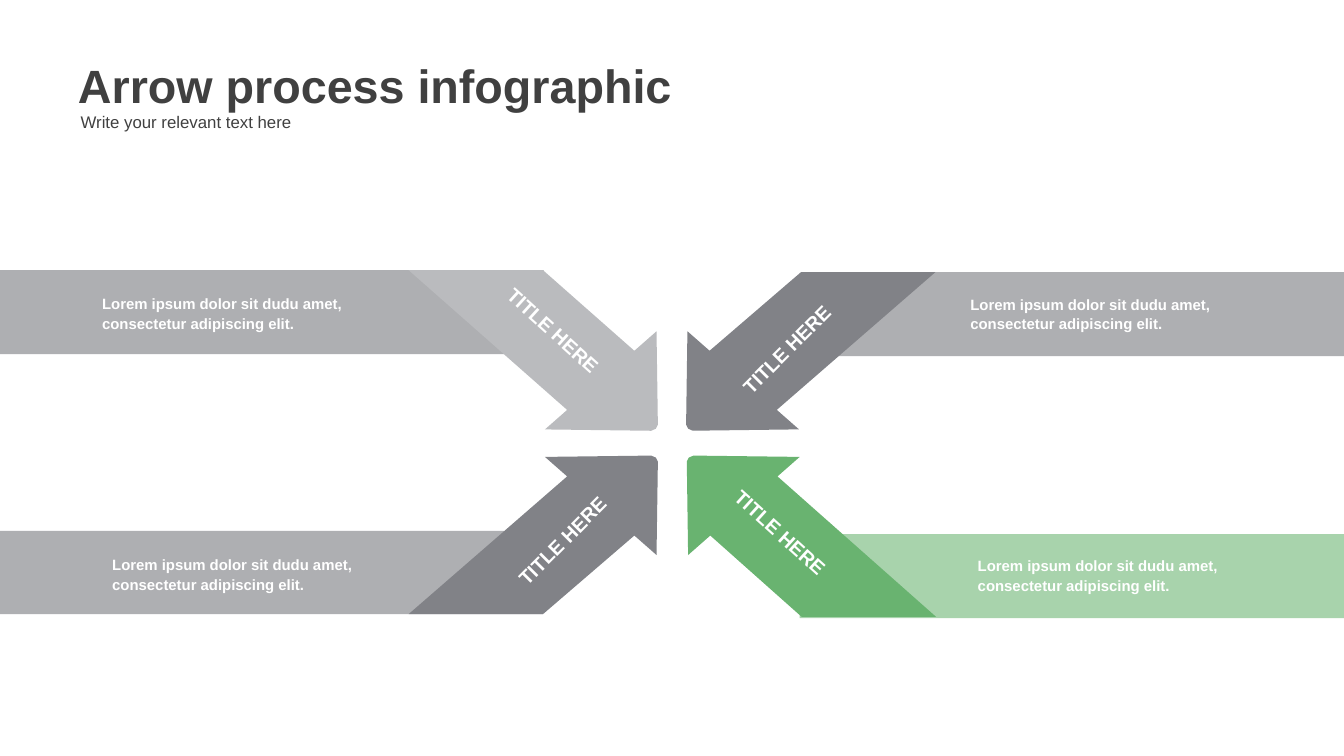
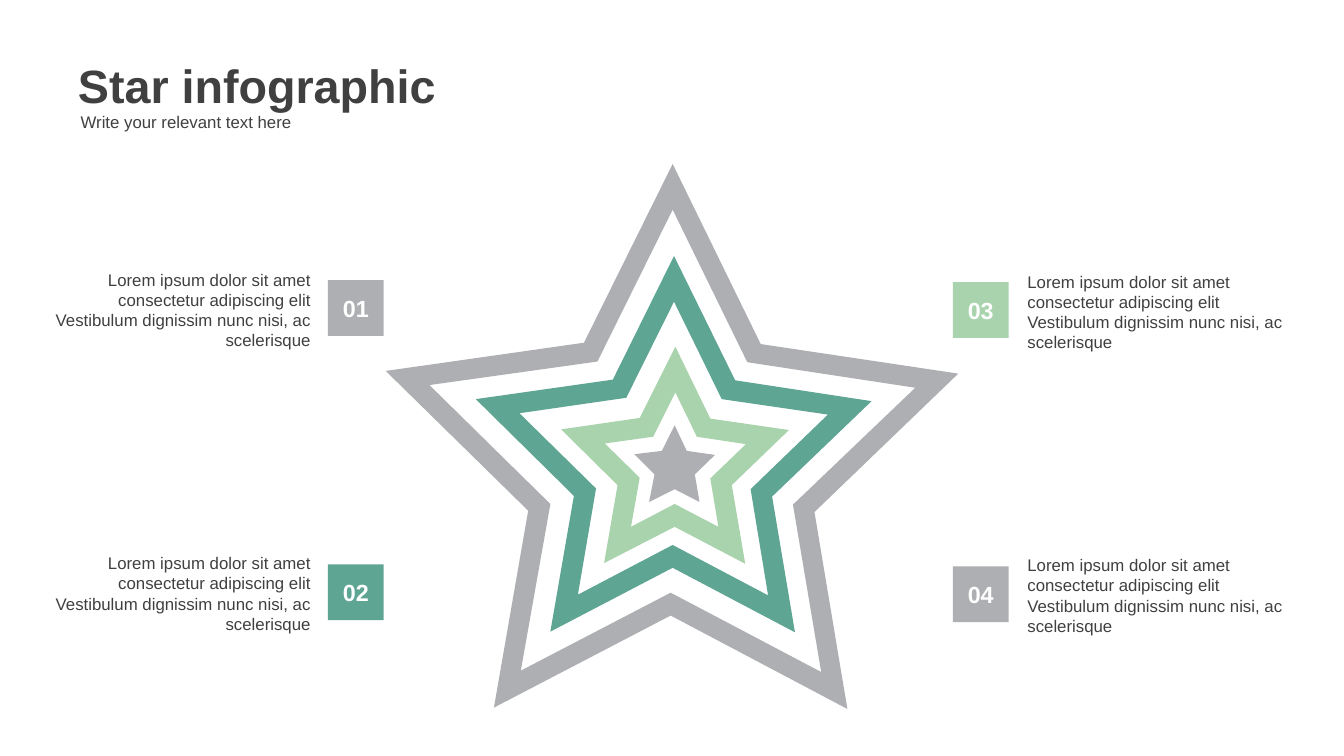
from lxml.etree import SubElement
from pptx import Presentation
from pptx.dml.color import RGBColor
from pptx.enum.shapes import MSO_SHAPE
from pptx.enum.text import MSO_ANCHOR, MSO_AUTO_SIZE, PP_ALIGN
from pptx.oxml.ns import qn
from pptx.util import Pt

PX = 9144  # 100 px to the inch
FONT = "Arial"
COLORS = {
    "text": "404040",
    "white": "FFFFFF",
    "gray": "AEAFB2",
    "light gray": "BABBBE",
    "dark gray": "818287",
    "green": "69B370",
    "light green": "A8D3AC",
    "teal": "5FA593",
}
SUBTITLE = "Write your relevant text here"
CAPTION = "Lorem ipsum dolor sit dudu amet, consectetur adipiscing elit."
DESCRIPTION = ("Lorem ipsum dolor sit amet consectetur adipiscing elit "
               "Vestibulum dignissim nunc nisi, ac scelerisque")

# Star corners relative to the top tip, for a star STAR_WIDTH wide
STAR_WIDTH = 851
STAR_CORNERS = [(0, 0), (-132, 266), (-427, 308), (-215, 516), (-266, 809),
                (-3, 672), (260, 811), (211, 518), (425, 312), (131, 268)]
HOLE_DROP = 68
HOLE_NARROWING = 129

# Arrow head corners as distances outward from the arrow's tip
ARROW_HEAD = [(135, 31), (168, 2), (10, 0), (3, 3), (0, 9), (2, 148), (35, 119)]


def star_contour(tip_x, tip_y, width):
    scale = width / STAR_WIDTH
    return [(round(tip_x + x * scale), round(tip_y + y * scale))
            for x, y in STAR_CORNERS]


def arrow_contour(tip_x, tip_y, side_x, side_y, depth):
    """Side is -1 or 1: the direction in which the tail leaves the tip."""
    corners = [(371, depth), *ARROW_HEAD, (171, depth)]
    return [(tip_x + side_x * x, tip_y + side_y * y) for x, y in corners]


class Deck:
    def __init__(self):
        self.presentation = Presentation()
        self.presentation.slide_width = 2000 * PX
        self.presentation.slide_height = 1125 * PX
        self.slide = None

    def add_slide(self, title):
        layout = self.presentation.slide_layouts[1]
        self.slide = self.presentation.slides.add_slide(layout)
        heading, subtitle = self.slide.placeholders
        self.fill_placeholder(heading, (106, 79, 1135, 94), title, 50,
                              True, PP_ALIGN.JUSTIFY)
        self.fill_placeholder(subtitle, (110, 161, 904, 40), SUBTITLE, 18)

    def fill_placeholder(self, shape, box, text, size, bold=False,
                         align=PP_ALIGN.LEFT):
        shape.left, shape.top, shape.width, shape.height = (v * PX for v in box)
        frame = shape.text_frame
        frame.auto_size = MSO_AUTO_SIZE.NONE
        frame.vertical_anchor = MSO_ANCHOR.TOP
        properties = frame.paragraphs[0]._p.get_or_add_pPr()
        properties.set("marL", "0")
        properties.set("indent", "0")
        SubElement(properties, qn("a:buNone"))
        self.add_text(frame, text, size, "text", bold, align)

    def add_text(self, frame, text, size, color, bold=False,
                 align=PP_ALIGN.LEFT):
        paragraph = frame.paragraphs[0]
        paragraph.alignment = align
        paragraph.space_before = Pt(0)
        run = paragraph.add_run()
        run.text = text
        run.font.name = FONT
        run.font.size = Pt(size)
        run.font.bold = bold
        run.font.color.rgb = RGBColor.from_string(COLORS[color])
        return paragraph

    def paint(self, shape, color):
        shape.shadow.inherit = False
        shape.fill.solid()
        shape.fill.fore_color.rgb = RGBColor.from_string(COLORS[color])
        shape.line.fill.background()

    def rectangle(self, box, color):
        shape = self.slide.shapes.add_shape(
            MSO_SHAPE.RECTANGLE, *(v * PX for v in box))
        self.paint(shape, color)
        return shape

    def outline(self, contours, color):
        """Fill a closed shape; contours after the first are holes."""
        first, *holes = contours
        builder = self.slide.shapes.build_freeform(*first[0], scale=PX)
        builder.add_line_segments(first[1:])
        for hole in holes:
            builder.move_to(*hole[0])
            builder.add_line_segments(hole[1:])
        self.paint(builder.convert_to_shape(), color)

    def text_box(self, box, text, size, color, bold=False, align=PP_ALIGN.LEFT,
                 side_inset=10, wrap=True, rotation=0, line_spacing=None):
        shape = self.slide.shapes.add_textbox(*(v * PX for v in box))
        shape.rotation = rotation
        frame = shape.text_frame
        frame.word_wrap = wrap
        frame.auto_size = MSO_AUTO_SIZE.SHAPE_TO_FIT_TEXT
        frame.margin_left = frame.margin_right = side_inset * PX
        paragraph = self.add_text(frame, text, size, color, bold, align)
        if line_spacing:
            paragraph.line_spacing = line_spacing

    def number_tile(self, left, top, number, color):
        tile = self.rectangle((left, top, 83, 83), color)
        tile.text_frame.vertical_anchor = MSO_ANCHOR.MIDDLE
        self.add_text(tile.text_frame, number, 25, "white", True,
                      PP_ALIGN.CENTER)


def add_arrow_slide(deck):
    deck.add_slide("Arrow process infographic")
    rising, falling = 314.9, 42.2
    # band, band color, arrow, arrow color, label corner, angle, caption corner
    steps = [
        ((1193, 405, 807, 125), "gray", (1021, 641, 1, -1, 236), "dark gray",
         (1078, 496), rising, (1437, 432)),
        ((1190, 795, 810, 125), "light green", (1022, 678, 1, 1, 240), "green",
         (1069, 771), falling, (1448, 821)),
        ((0, 402, 809, 125), "gray", (979, 641, -1, -1, 239), "light gray",
         (731, 470), falling, (145, 431)),
        (None, "gray", (979, 678, -1, 1, 236), "dark gray",
         (744, 781), rising, (160, 819)),
    ]
    slanted_band = [(0, 790), (0, 914), (808, 914), (750, 790)]
    for band, band_color, arrow, arrow_color, label, angle, caption in steps:
        if band:
            deck.rectangle(band, band_color)
        else:
            deck.outline([slanted_band], band_color)
        deck.outline([arrow_contour(*arrow)], arrow_color)
        deck.text_box((*label, 187, 45), "TITLE HERE", 21, "white", True,
                      side_inset=7, wrap=False, rotation=angle)
        deck.text_box((*caption, 443, 69), CAPTION, 16, "white", True,
                      side_inset=7, line_spacing=1.1)


def add_star_slide(deck):
    deck.add_slide("Star infographic")
    rings = [(1001, 244, 851, "gray"), (1003, 381, 588, "teal"),
             (1005, 516, 339, "light green")]
    for tip_x, tip_y, width, color in rings:
        hole = star_contour(tip_x, tip_y + HOLE_DROP, width - HOLE_NARROWING)
        deck.outline([star_contour(tip_x, tip_y, width), hole], color)
    deck.outline([star_contour(1004, 633, 120)], "gray")

    columns = [(488, 41, 417, PP_ALIGN.RIGHT, ["gray", "teal"]),
               (1418, 1519, 420, PP_ALIGN.LEFT, ["light green", "gray"])]
    number = 0
    for tile_left, text_left, first_top, align, colors in columns:
        for row, color in enumerate(colors):
            number += 1
            top = first_top + row * 423
            deck.number_tile(tile_left, top, f"{number:02}", color)
            deck.text_box((text_left, top - 21 - row, 431, 131), DESCRIPTION,
                          18, "text", align=align)


def main():
    deck = Deck()
    add_arrow_slide(deck)
    add_star_slide(deck)
    deck.presentation.save("out.pptx")


if __name__ == "__main__":
    main()
